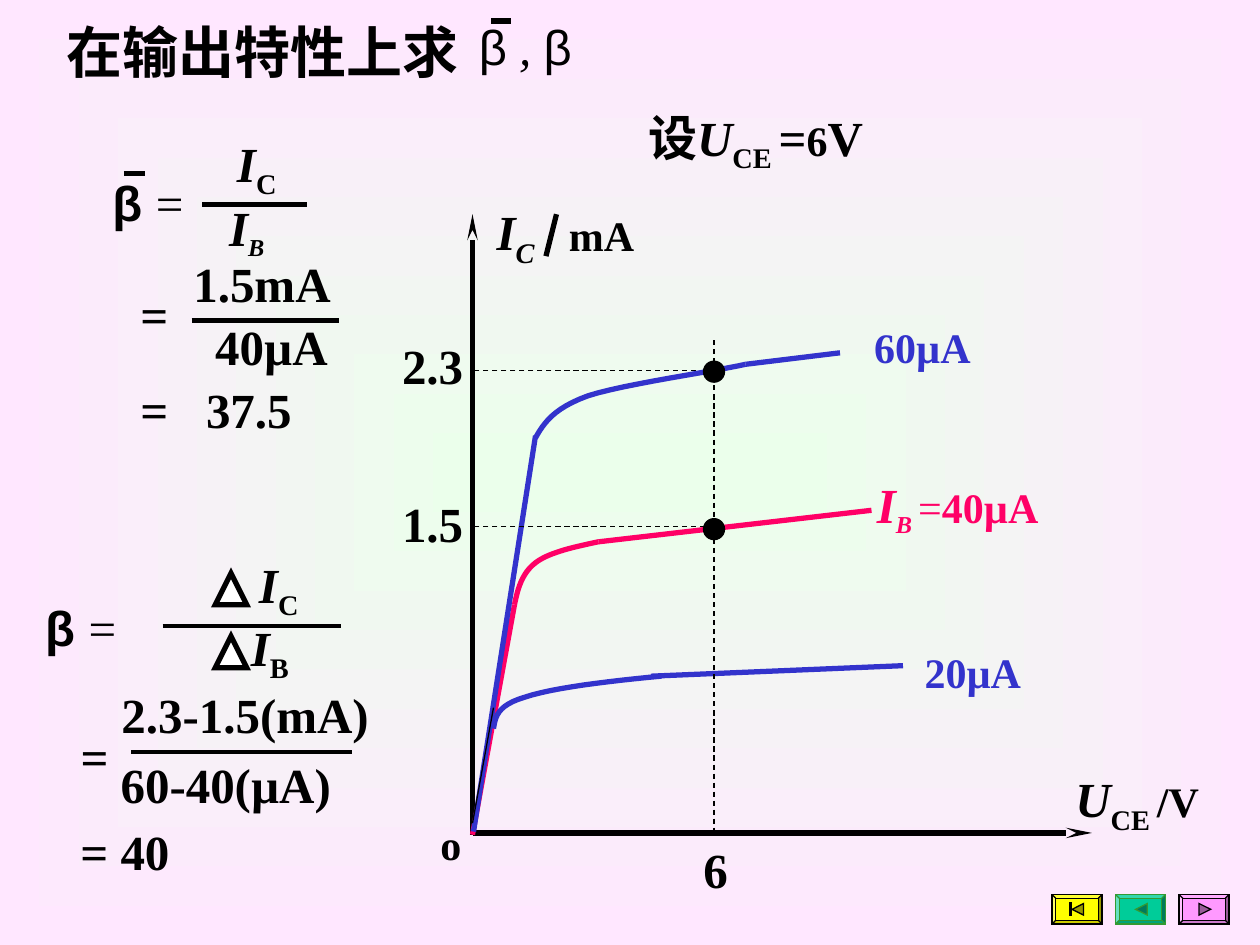
from lxml.etree import SubElement
from pptx import Presentation
from pptx.dml.color import RGBColor
from pptx.enum.dml import MSO_LINE
from pptx.enum.shapes import MSO_CONNECTOR, MSO_SHAPE
from pptx.enum.text import MSO_ANCHOR, MSO_AUTO_SIZE, PP_ALIGN
from pptx.oxml.ns import qn
from pptx.util import Inches, Pt

THEME = {
    "ink": "000000", "blue": "3333CC", "red": "FF0066", "white": "FFFFFF",
    "glow": "EBFFEB", "edge": "FFE7FF",
    "head": 32, "body": 28, "note": 24, "gap": 16,
    "serif": "Times New Roman", "sans": "Arial", "han": "Noto Sans CJK SC",
}
BASE = {"size": "body", "name": "serif", "color": "ink", "bold": True, "italic": False}
FRAME = {"word_wrap": False, "auto_size": MSO_AUTO_SIZE.SHAPE_TO_FIT_TEXT,
         "vertical_anchor": MSO_ANCHOR.MIDDLE,
         "margin_left": Inches(0.05), "margin_right": Inches(0.05)}
IT = {"italic": True}
SUB = {"sub": True}
SMALL = {"size": "note"}
THIN = {"bold": False}
GAP = {"size": "gap"}
BLUE = {"color": "blue", **SMALL}
RED = {"color": "red"}
BETA = {"name": "sans"}

COLS = 120
LEFT, MID = PP_ALIGN.LEFT, PP_ALIGN.CENTER

TITLE = (5.76, 1, 42, 7.7, [("在输出特性上求", {"size": "head", "name": "han"})], LEFT)
TEXTS = [
    (45, 1, 20, 6.8, [("β", {**BETA, **THIN}), (" , ", {**IT, **THIN}), ("β", {**BETA, **THIN})], LEFT),
    (45, 9.6, 53.9, 7.6, [("设", {}), ("U", IT), ("CE", SUB), (" ", GAP), ("=", {}), ("6", SMALL), ("V", {})], MID),
    (101.2, 72.6, 14.2, 7.6, [("U", IT), ("CE", SUB), (" ", GAP), ("/V", SMALL)], MID),
    (46.1, 18.6, 6, 7.6, [("I", IT), ("C", {**IT, **SUB})], MID),
    (53, 19.4, 8.6, 6, [("mA", SMALL)], MID),
    (82.3, 44.3, 17.8, 7.9, [("I", {**IT, **RED}), ("B ", {**IT, **SUB, **RED, **SMALL}),
                             ("=", {**THIN, **RED, **SMALL}), ("40µA", {**RED, **SMALL})], MID),
    (82.1, 30, 11.5, 6, [("60µA", BLUE)], MID),
    (86.9, 61, 11.5, 6, [("20µA", BLUE)], MID),
    (40.8, 77.4, 4.3, 6, [("o", SMALL)], MID),
    (66, 79.4, 4.3, 6.8, [("6", {})], MID),
    (37.1, 46.4, 8.2, 6.8, [("1.5", {})], MID),
    (37.1, 31.4, 8.2, 6.8, [("2.3", {})], MID),
    (10.1, 15.8, 11, 6.8, [("β ", BETA), ("=", THIN)], LEFT),
    (21.4, 12.1, 6.1, 7.6, [("I", IT), ("C", SUB)], MID),
    (20.6, 18.2, 5.8, 7.3, [("I", IT), ("B", {**IT, **SUB, **SMALL})], MID),
    (12.2, 26.5, 5, 6.8, [("=", {})], MID),
    (17.2, 23.5, 15.5, 6.8, [("1.5mA", {})], MID),
    (19.3, 29.5, 13.1, 6.8, [("40µA", {})], MID),
    (12.2, 35.5, 5, 6.8, [("=", {})], MID),
    (18.4, 35.5, 10.6, 6.8, [("37.5", {})], MID),
    (3.7, 56.3, 11, 6.8, [("β ", BETA), ("=", THIN)], LEFT),
    (23.5, 52.2, 6.1, 7.6, [("I", IT), ("C", SUB)], MID),
    (22.7, 58.2, 6, 7.6, [("I", IT), ("B", SUB)], MID),
    (6.5, 68.6, 5, 6.8, [("=", {})], MID),
    (10.4, 64.6, 25.9, 6.8, [("2.3-1.5(mA)", {})], MID),
    (10.3, 71.3, 22.4, 6.8, [("60-40(µA)", {})], MID),
    (6.5, 77.6, 10.8, 6.8, [("= 40", {})], MID),
]

LINES = [
    (45, 79.33, 104, 79.33, "ink", 3, "arrow"),
    (45, 79.5, 45, 20.4, "ink", 3, "arrow"),
    (45, 79.5, 49, 57.6, "red", 3, ""),
    (57, 51.6, 83, 48.6, "red", 3, ""),
    (45.1, 79.2, 51, 41.5, "blue", 3, ""),
    (71, 34.7, 80, 33.6, "blue", 3, ""),
    (45, 78.4, 47, 67.4, "ink", 0.75, ""),
    (62, 64.4, 86, 63.4, "blue", 3, ""),
    (68, 32.4, 68, 79.4, "ink", 0.75, "dash"),
    (68, 50.16, 45, 50.16, "ink", 0.75, "dash"),
    (68, 35.3, 45, 35.3, "ink", 0.75, "dash"),
    (53, 20.4, 52, 24.4, "ink", 3, ""),
    (46.8, 2, 48.7, 2, "ink", 3, ""),
    (11.8, 16.5, 13.8, 16.5, "ink", 3, ""),
    (19.25, 19.5, 29.25, 19.5, "ink", 3, ""),
    (18.25, 30.5, 32.25, 30.5, "ink", 3, ""),
    (15.5, 59.6, 32.5, 59.6, "ink", 2.25, ""),
    (12.5, 71.6, 33.5, 71.6, "ink", 2.25, ""),
]
BENDS = [
    ("red", [(49, 57.6), (49.3, 56.1), (49.7, 54.6), (51, 53.6), (52.3, 52.6), (54.7, 52.1), (57, 51.6)]),
    ("blue", [(51, 41.7), (51.8, 40.3), (52.7, 38.9), (56, 37.7), (59.3, 36.6), (68.5, 35.3), (71, 34.7)]),
    ("blue", [(47, 69.4), (47.2, 68.3), (47.3, 67.2), (50, 66.4), (52.7, 65.5), (57.8, 64.9), (63, 64.4)]),
]
DOTS = [(67, 34.4), (67, 49.4)]
DELTAS = [(20.5, 54.6), (20.5, 60.6)]
KEYS = [("FFFF00", "999900", "ink", -90, True),
        ("00CC99", "007A5C", "339933", -90, False),
        ("FF99FF", "995C99", "ink", 90, False)]

prs = Presentation()
prs.slide_width, prs.slide_height = Inches(10), Inches(7.5)
slide = prs.slides.add_slide(prs.slide_layouts[5])
shapes = slide.shapes
unit = prs.slide_width / COLS


def emu(*cells):
    return [round(c * unit) for c in cells]


def tint(key):
    return RGBColor.from_string(THEME.get(key, key))


def write(box, x, y, w, h, runs, align):
    box.left, box.top, box.width, box.height = emu(x, y, w, h)
    frame = box.text_frame
    for key, val in FRAME.items():
        setattr(frame, key, val)
    para = frame.paragraphs[0]
    para.alignment = align
    for text, extra in runs:
        form = {**BASE, **extra}
        run = para.add_run()
        run.text = text
        font = run.font
        font.color.rgb = tint(form["color"])
        vals = {"size": Pt(THEME[form["size"]]), "name": THEME[form["name"]],
                "bold": form["bold"], "italic": form["italic"]}
        for key, val in vals.items():
            setattr(font, key, val)
        props = run._r.get_or_add_rPr()
        SubElement(props, qn("a:ea")).set("typeface", THEME["han"])
        if form.get("sub"):
            props.set("baseline", "-25000")


def draw(x1, y1, x2, y2, color, width, kind):
    line = shapes.add_connector(MSO_CONNECTOR.STRAIGHT, *emu(x1, y1, x2, y2))
    line.line.color.rgb, line.line.width = tint(color), Pt(width)
    props = line.element.find(qn("p:spPr"))
    if kind == "dash":
        line.line.dash_style = MSO_LINE.DASH
    if kind == "arrow":
        tip = SubElement(props.find(qn("a:ln")), qn("a:tailEnd"))
        for key, val in {"type": "stealth", "w": "sm", "len": "lg"}.items():
            tip.set(key, val)
    SubElement(props, qn("a:effectLst"))


def paint(shape, fill, color, width):
    shape.shadow.inherit = False
    if fill:
        shape.fill.solid()
        shape.fill.fore_color.rgb = tint(fill)
    else:
        shape.fill.background()
    shape.line.color.rgb, shape.line.width = tint(color), Pt(width)
    edge = shape.element.find(qn("p:spPr")).find(qn("a:ln"))
    SubElement(edge, qn("a:miter")).set("lim", "800000")


def place(kind, x, y, w, h, fill, color="ink", width=0.75, turn=0):
    shape = shapes.add_shape(kind, *emu(x, y, w, h))
    shape.rotation = turn
    paint(shape, fill, color, width)


def curve(pts, steps=12):
    out = [pts[0]]
    for i in range(0, len(pts) - 1, 3):
        for n in range(1, steps + 1):
            t = n / steps
            parts = ((1 - t) ** 3, 3 * t * (1 - t) ** 2, 3 * t * t * (1 - t), t ** 3)
            out.append([sum(k * p[a] for k, p in zip(parts, pts[i:i + 4])) for a in (0, 1)])
    return [emu(*p) for p in out]


back = slide.background.fill
back.gradient()
for stop, key in zip(back.gradient_stops, ("glow", "edge")):
    stop.color.rgb = tint(key)
grad = slide.element.find(".//" + qn("a:gradFill"))
grad.remove(grad.find(qn("a:lin")))
shade = SubElement(grad, qn("a:path"))
shade.set("path", "rect")
focus = SubElement(shade, qn("a:fillToRect"))
for side in "ltrb":
    focus.set(side, "50000")

write(shapes.title, *TITLE)
for row in LINES:
    draw(*row)
for color, pts in BENDS:
    first, *rest = curve(pts)
    build = shapes.build_freeform(*first)
    build.add_line_segments(rest, close=False)
    paint(build.convert_to_shape(), None, color, 3)
for x, y in DOTS:
    place(MSO_SHAPE.OVAL, x, y, 2, 2, "ink")
for x, y in DELTAS:
    place(MSO_SHAPE.ISOSCELES_TRIANGLE, x, y, 3, 3, "white", width=3)
for row in TEXTS:
    write(shapes.add_textbox(0, 0, 0, 0), *row)
for i, (face, dark, rim, turn, bar) in enumerate(KEYS):
    x, y = 100.2 + 6.05 * i, 85.2
    place(MSO_SHAPE.BEVEL, x, y, 4.75, 2.8, face, rim)
    place(MSO_SHAPE.ISOSCELES_TRIANGLE, x + 1.9, y + 0.85, 1.1, 1.1, dark, rim, turn=turn)
    if bar:
        place(MSO_SHAPE.RECTANGLE, x + 1.7, y + 0.8, 0.16, 1.2, dark, rim)

prs.save("out.pptx")
